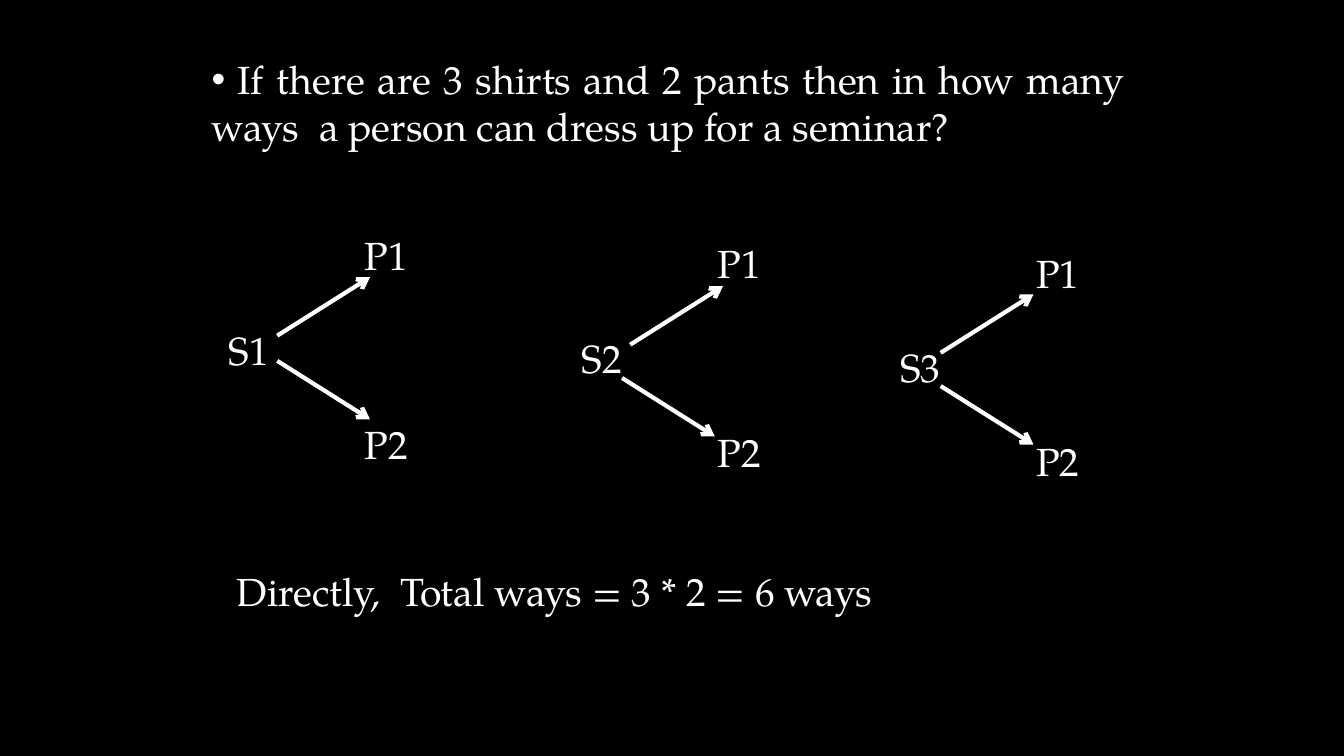
import pptx
import pptx.util
import pptx.dml.color
import pptx.enum.shapes
import pptx.enum.text
import pptx.oxml
import pptx.oxml.ns

Inches = pptx.util.Inches
Pt = pptx.util.Pt

QUESTION = (" If there are 3 shirts and 2 pants then in how many ways"
            "  a person can dress up for a seminar?")
ANSWER = "Directly,  Total ways = 3 * 2 = 6 ways"
PANTS = ("P1", "P2")
SHIRTS = [
    {"name": "S1", "box": (2.17, 2.25, 2.67, 2.46), "starts": ((2.75, 3.33), (2.75, 3.58))},
    {"name": "S2", "box": (5.67, 2.33, 2.42, 2.46), "starts": ((6.25, 3.42), (6.17, 3.75))},
    {"name": "S3", "box": (8.83, 2.42, 2.42, 2.46), "starts": ((9.33, 3.5), (9.33, 3.83))},
]
ARROW_RUN, ARROW_RISE = 0.92, 0.58
PANTS_INDENT = 1.35
ROW_GAP = 33.7

THEME = {
    "background": pptx.dml.color.RGBColor(0, 0, 0),
    "ink": pptx.dml.color.RGBColor(255, 255, 255),
    "font": "TeX Gyre Pagella",
    "size": Pt(28),
    "line": Pt(3),
}


def add_xml(parent, xml, position=None):
    element = pptx.oxml.parse_xml(xml.replace("/>", f" {pptx.oxml.ns.nsdecls('a')}/>"))
    parent.insert(len(parent) if position is None else position, element)


def add_text(page, place, lines):
    box = page.shapes.add_textbox(*map(Inches, place))
    frame = box.text_frame
    frame.word_wrap = True
    frame.auto_size = pptx.enum.text.MSO_AUTO_SIZE.SHAPE_TO_FIT_TEXT
    frame.text = "\n".join(lines)
    for para in frame.paragraphs:
        para.font.name = THEME["font"]
        para.font.size = THEME["size"]
        para.font.color.rgb = THEME["ink"]
    return frame.paragraphs


def add_arrow(page, start, end):
    arrow = page.shapes.add_connector(
        pptx.enum.shapes.MSO_CONNECTOR.STRAIGHT, *map(Inches, start + end))
    arrow.line.color.rgb = THEME["ink"]
    arrow.line.width = THEME["line"]
    add_xml(arrow.line._get_or_add_ln(), '<a:tailEnd type="arrow"/>')
    add_xml(arrow._element.spPr, "<a:effectLst/>")


def add_choices(page, shirt):
    first, middle, last = add_text(page, shirt["box"], (PANTS[0], shirt["name"], PANTS[1]))
    for para in (first, last):
        para._p.get_or_add_pPr().set("marL", str(Inches(PANTS_INDENT)))
    for para in (middle, last):
        para.space_before = Pt(ROW_GAP)
    for (x, y), direction in zip(shirt["starts"], (-1, 1)):
        add_arrow(page, (x, y), (x + ARROW_RUN, y + direction * ARROW_RISE))


def main():
    deck = pptx.Presentation()
    deck.slide_width, deck.slide_height = Inches(13.33), Inches(7.5)
    page = deck.slides.add_slide(deck.slide_layouts[6])
    page.background.fill.solid()
    page.background.fill.fore_color.rgb = THEME["background"]

    question = add_text(page, (2, 0.5, 9.25, 1.04), [QUESTION])[0]
    question.alignment = pptx.enum.text.PP_ALIGN.JUSTIFY
    properties = question._p.get_or_add_pPr()
    add_xml(properties, '<a:buFont typeface="Arial"/>', 0)
    add_xml(properties, '<a:buChar char="•"/>', 1)

    for shirt in SHIRTS:
        add_choices(page, shirt)
    add_text(page, (2.25, 5.58, 8.58, 0.57), [ANSWER])
    deck.save("out.pptx")


if __name__ == "__main__":
    main()
